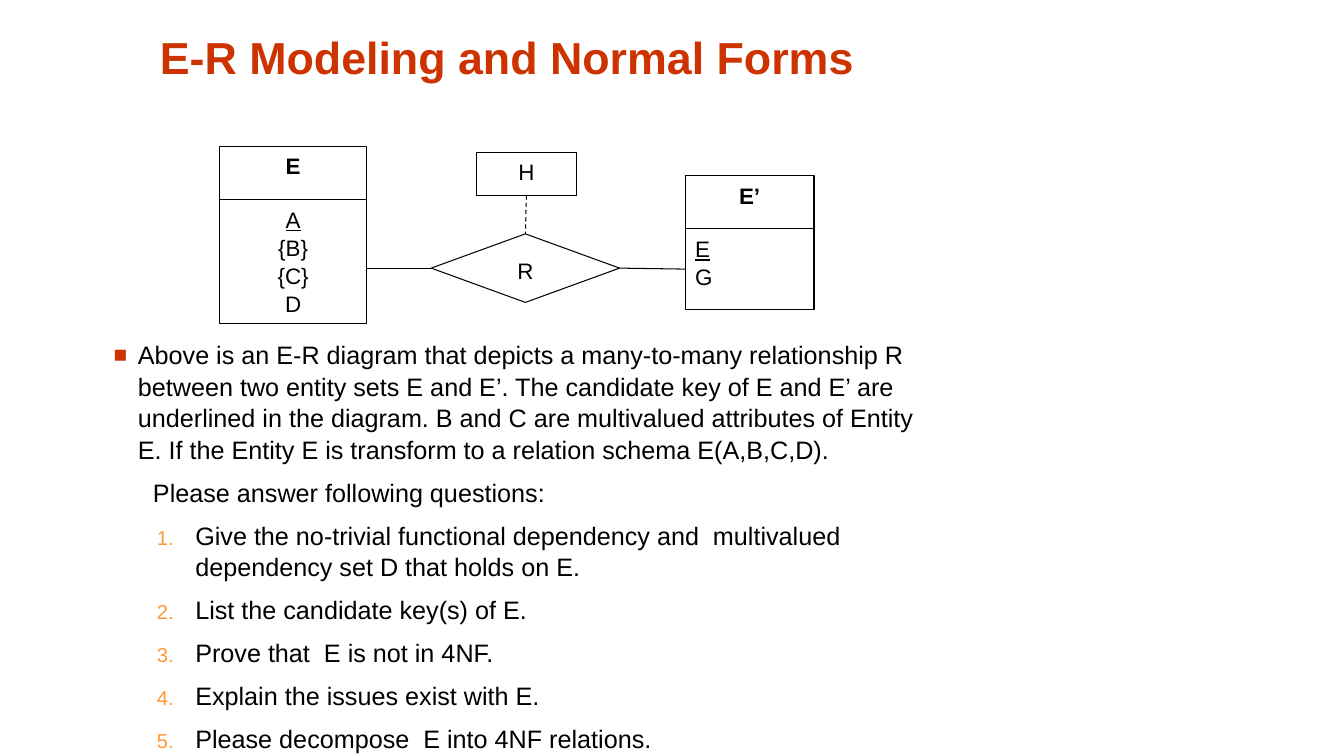
from lxml.etree import SubElement
from pptx import Presentation
from pptx.dml.color import RGBColor
from pptx.enum.dml import MSO_LINE
from pptx.enum.shapes import MSO_CONNECTOR, MSO_SHAPE
from pptx.enum.text import MSO_ANCHOR, PP_ALIGN
from pptx.oxml.ns import qn
from pptx.util import Inches, Pt

TITLE = "E-R Modeling and Normal Forms"
INTRO = (
    "Above is an E-R diagram that depicts a many-to-many relationship R between "
    "two entity sets E and E’. The candidate key of E and E’ are underlined in the "
    "diagram. B and C are multivalued attributes of Entity E. If the Entity E is "
    "transform to a relation schema E(A,B,C,D)."
)
PROMPT = "Please answer following questions:"
QUESTIONS = [
    "Give the no-trivial functional dependency and  multivalued dependency set D that holds on E.",
    "List the candidate key(s) of E.",
    "Prove that  E is not in 4NF.",
    "Explain the issues exist with E.",
    "Please decompose  E into 4NF relations.",
]
# name, attributes (the first is the key), left, top, width, attribute height, alignment
ENTITIES = [
    ("E", ["A", "{B}", "{C}", "D"], 2.18, 1.45, 1.46, 1.23, PP_ALIGN.CENTER),
    ("E’", ["E", "G"], 6.8, 1.74, 1.28, 0.8, PP_ALIGN.LEFT),
]
HEADER_HEIGHT = 0.53
RELATIONSHIP = ("R", 4.28, 2.32, 1.87, 0.68)
LINK_ATTRIBUTE = ("H", 4.73, 1.51, 0.99, 0.43)

COLORS = {"title": "CC3300", "number": "FF9933", "ink": "000000"}
FONT = "Arial"
LINE_SPACING = 1.05
TOP, LEFT, BOTTOM, RIGHT = range(4)


def rgb(name):
    return RGBColor.from_string(COLORS[name])


def set_font(paragraph, size, color="ink", bold=False, underline=False):
    font = paragraph.font
    font.name, font.size, font.bold = FONT, Pt(size), bold
    font.underline = underline
    font.color.rgb = rgb(color)


def add_node(slide, preset, box, lines, align=PP_ALIGN.CENTER, bold=False, key=False):
    """Add an outlined diagram part; key underlines its first line."""
    node = slide.shapes.add_shape(preset, *map(Inches, box))
    node.shadow.inherit = False
    node.fill.background()
    node.line.color.rgb = rgb("ink")
    node.line.width = Pt(0.75)
    frame = node.text_frame
    frame.vertical_anchor = MSO_ANCHOR.TOP
    for i, text in enumerate(lines):
        paragraph = frame.paragraphs[0] if i == 0 else frame.add_paragraph()
        paragraph.text = text
        paragraph.alignment = align
        paragraph.line_spacing = LINE_SPACING
        set_font(paragraph, 16, bold=bold, underline=key and i == 0)
    return node


def add_link(slide, start, end, dashed=False):
    """Join two (shape, side) pairs; a pair of plain lengths is a free end."""
    link = slide.shapes.add_connector(MSO_CONNECTOR.STRAIGHT, 0, 0, 0, 0)
    link.begin_connect(*start)
    if isinstance(end[0], int):
        link.end_x, link.end_y = end
    else:
        link.end_connect(*end)
    link.line.color.rgb = rgb("ink")
    link.line.width = Pt(0.75)
    if dashed:
        link.line.dash_style = MSO_LINE.DASH
    SubElement(link._element.spPr, qn("a:effectLst"))


def add_bullet(p_pr, color, percent, tag, **attributes):
    fill = SubElement(p_pr, qn("a:buClr"))
    SubElement(fill, qn("a:srgbClr"), val=COLORS[color])
    SubElement(p_pr, qn("a:buSzPct"), val=str(percent * 1000))
    SubElement(p_pr, qn("a:buFont"), typeface=FONT)
    SubElement(p_pr, qn(tag), **attributes)


def add_title(slide):
    title = slide.shapes.title
    title.left, title.top, title.width, title.height = map(Inches, (1.14, 0.17, 7.79, 0.69))
    frame = title.text_frame
    frame.text = TITLE
    frame.vertical_anchor = MSO_ANCHOR.BOTTOM
    frame.margin_bottom = Inches(0.03)
    frame.paragraphs[0].alignment = PP_ALIGN.CENTER
    set_font(frame.paragraphs[0], 32, "title", bold=True)


def add_diagram(slide):
    attribute_boxes = []
    for name, attributes, left, top, width, height, align in ENTITIES:
        add_node(slide, MSO_SHAPE.RECTANGLE, (left, top, width, HEADER_HEIGHT), [name], bold=True)
        box = (left, top + HEADER_HEIGHT, width, height)
        attribute_boxes.append(
            add_node(slide, MSO_SHAPE.RECTANGLE, box, attributes, align, key=True))
    label, *box = RELATIONSHIP
    relationship = add_node(slide, MSO_SHAPE.DIAMOND, box, [label])
    label, *box = LINK_ATTRIBUTE
    link_attribute = add_node(slide, MSO_SHAPE.RECTANGLE, box, [label])

    left_entity, right_entity = attribute_boxes
    left_end = (left_entity.left + left_entity.width,
                relationship.top + relationship.height // 2)
    add_link(slide, (relationship, LEFT), left_end)
    add_link(slide, (relationship, RIGHT), (right_entity, LEFT))
    add_link(slide, (link_attribute, BOTTOM), (relationship, TOP), dashed=True)


def add_exercise(slide):
    box = slide.shapes.add_textbox(*map(Inches, (1.03, 3.3, 8.38, 4.2)))
    frame = box.text_frame
    frame.word_wrap = True
    # text, margin, indent, bullet
    square = ("title", 90, "a:buChar", {"char": "■"})
    number = ("number", 80, "a:buAutoNum", {"type": "arabicPeriod"})
    rows = [(INTRO, 0.24, -0.24, square), (PROMPT, 0.39, 0, None)]
    rows += [(question, 0.81, -0.38, number) for question in QUESTIONS]
    for i, (text, margin, indent, bullet) in enumerate(rows):
        paragraph = frame.add_paragraph() if i else frame.paragraphs[0]
        paragraph.text = text
        paragraph.line_spacing = LINE_SPACING
        if i:
            paragraph.space_before = Pt(7.9)
        p_pr = paragraph._p.get_or_add_pPr()
        p_pr.set("marL", str(Inches(margin)))
        p_pr.set("indent", str(Inches(indent)))
        if bullet:
            color, percent, tag, attributes = bullet
            add_bullet(p_pr, color, percent, tag, **attributes)
        set_font(paragraph, 18)


def main():
    deck = Presentation()
    deck.slide_width, deck.slide_height = Inches(13.34), Inches(7.5)
    slide = deck.slides.add_slide(deck.slide_layouts[5])
    add_title(slide)
    add_diagram(slide)
    add_exercise(slide)
    deck.save("out.pptx")


if __name__ == "__main__":
    main()
